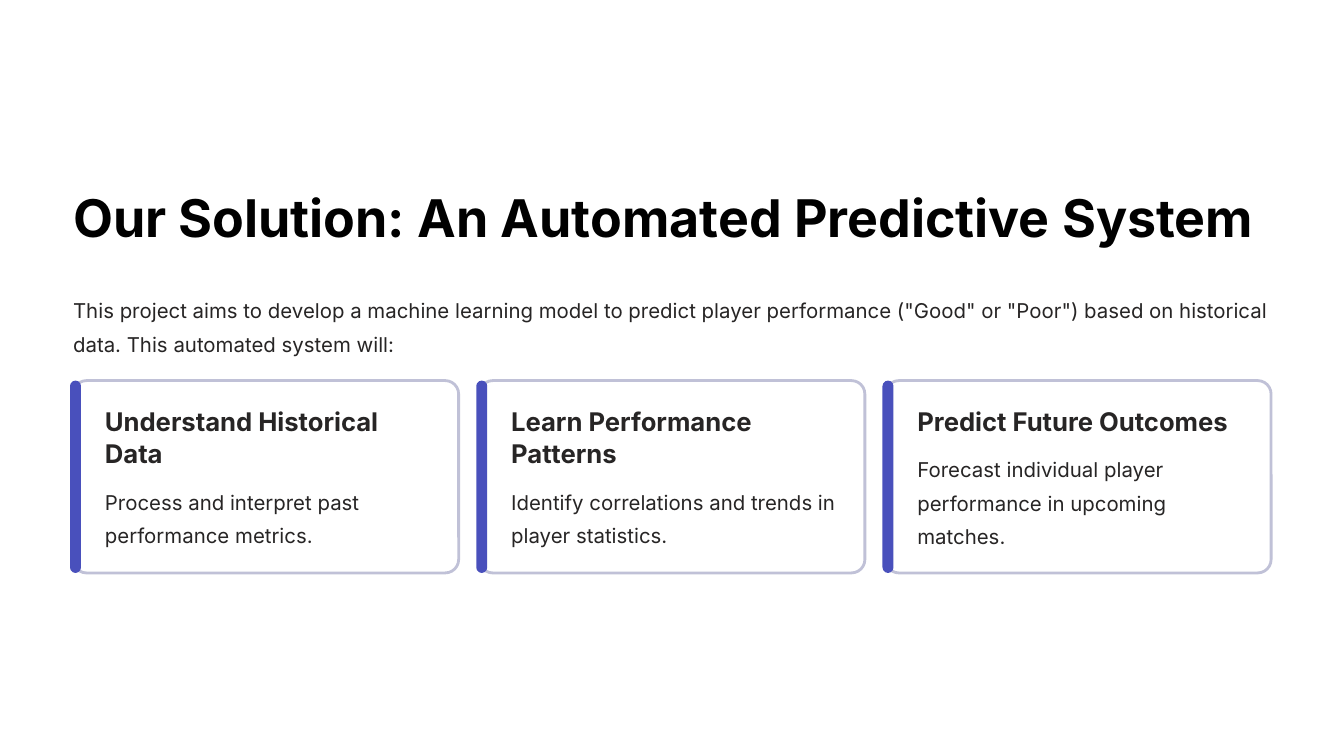
import pptx
import pptx.util
import pptx.dml.color
import pptx.enum.shapes
import pptx.enum.text
import pptx.oxml.ns
import lxml.etree

Pt = pptx.util.Pt
FONT = "Inter"
COLORS = {"title": "000000", "text": "272525", "card": "FFFFFF",
          "border": "C0C1D7", "accent": "4950BC"}
LEFT, WIDTH = 62.64, 1026.7
CARD_TOP, CARD_W, CARD_H, CARD_PITCH = 326.2, 330.5, 164.9, 348.2
HEADING_LEADING = 27.5

# Heading, lines it takes, description
CARDS = [
    ("Understand Historical Data", 2,
     "Process and interpret past performance metrics."),
    ("Learn Performance Patterns", 2,
     "Identify correlations and trends in player statistics."),
    ("Predict Future Outcomes", 1,
     "Forecast individual player performance in upcoming matches."),
]


def rgb(name):
    return pptx.dml.color.RGBColor.from_string(COLORS[name])


def place(sp, x, y, w, h):
    sp.left, sp.top, sp.width, sp.height = Pt(x), Pt(y), Pt(w), Pt(h)


def write(sp, text, size, leading, color="text", bold=False, wrap=True):
    tf = sp.text_frame
    tf.margin_left = tf.margin_top = tf.margin_right = tf.margin_bottom = 0
    tf.auto_size = pptx.enum.text.MSO_AUTO_SIZE.NONE
    tf.vertical_anchor = pptx.enum.text.MSO_ANCHOR.TOP
    tf.word_wrap = wrap
    tf.text = text
    p = tf.paragraphs[0]
    p.alignment = pptx.enum.text.PP_ALIGN.LEFT
    p.line_spacing = Pt(leading)
    p.space_before = Pt(0)
    font = p.runs[0].font
    font.name, font.size, font.bold = FONT, Pt(size), bold
    font.color.rgb = rgb(color)
    return p


def add_text(s, x, y, w, h, *args, **kwargs):
    sp = s.shapes.add_textbox(Pt(x), Pt(y), Pt(w), Pt(h))
    write(sp, *args, **kwargs)


def add_box(s, x, y, w, h, radius, fill, line=None):
    sp = s.shapes.add_shape(pptx.enum.shapes.MSO_SHAPE.ROUNDED_RECTANGLE,
                            Pt(x), Pt(y), Pt(w), Pt(h))
    sp.adjustments[0] = radius
    sp.shadow.inherit = False
    sp.fill.solid()
    sp.fill.fore_color.rgb = rgb(fill)
    if line:
        sp.line.color.rgb = rgb(line)
        sp.line.width = Pt(2.4)
    else:
        sp.line.fill.background()


def add_header(s, x, y, w):
    # Title
    title = s.shapes.title
    place(title, x, y, w, 56)
    write(title, "Our Solution: An Automated Predictive System",
          44.5, 55.5, "title", bold=True, wrap=False)
    # Introduction, without bullet or indent
    intro = s.placeholders[1]
    place(intro, x, y + 91.4, w, 57)
    p = write(intro, "This project aims to develop a machine learning model to "
              'predict player performance ("Good" or "Poor") based on '
              "historical data. This automated system will:", 17.5, 28.5)
    pPr = p._p.get_or_add_pPr()
    pPr.set("marL", "0")
    pPr.set("indent", "0")
    lxml.etree.SubElement(pPr, pptx.oxml.ns.qn("a:buNone"))


def add_card(s, x, y, w, h, heading, lines, description):
    # Frame and accent bar
    add_box(s, x, y, w, h, 0.07, "card", "border")
    add_box(s, x - 2.6, y, 9.4, h, 0.5, "accent")
    # Heading with the description below it
    text_x, text_y, text_w = x + 27.3, y + 20.2, w - 47.5
    heading_h = lines * HEADING_LEADING
    add_text(s, text_x, text_y, text_w, heading_h, heading, 22,
             HEADING_LEADING, bold=True, wrap=lines > 1)
    body_y = text_y + heading_h + 10.8
    add_text(s, text_x, body_y, text_w, y + h - 21 - body_y,
             description, 17.5, 28.5)


def main():
    prs = pptx.Presentation()
    prs.slide_width, prs.slide_height = Pt(1152), Pt(648)
    s = prs.slides.add_slide(prs.slide_layouts[1])
    add_header(s, LEFT, 157, WIDTH)
    for i, card in enumerate(CARDS):
        add_card(s, LEFT + i * CARD_PITCH, CARD_TOP, CARD_W, CARD_H, *card)
    prs.save("out.pptx")


if __name__ == "__main__":
    main()
